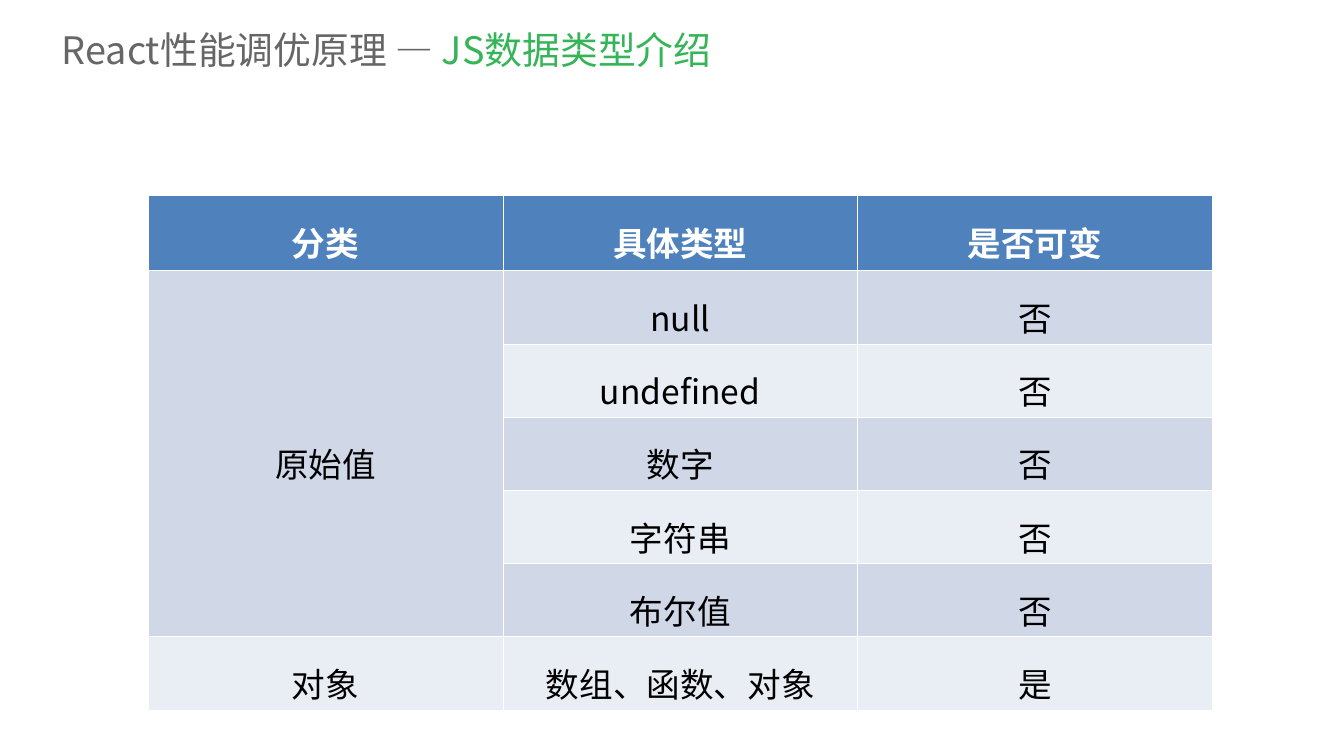
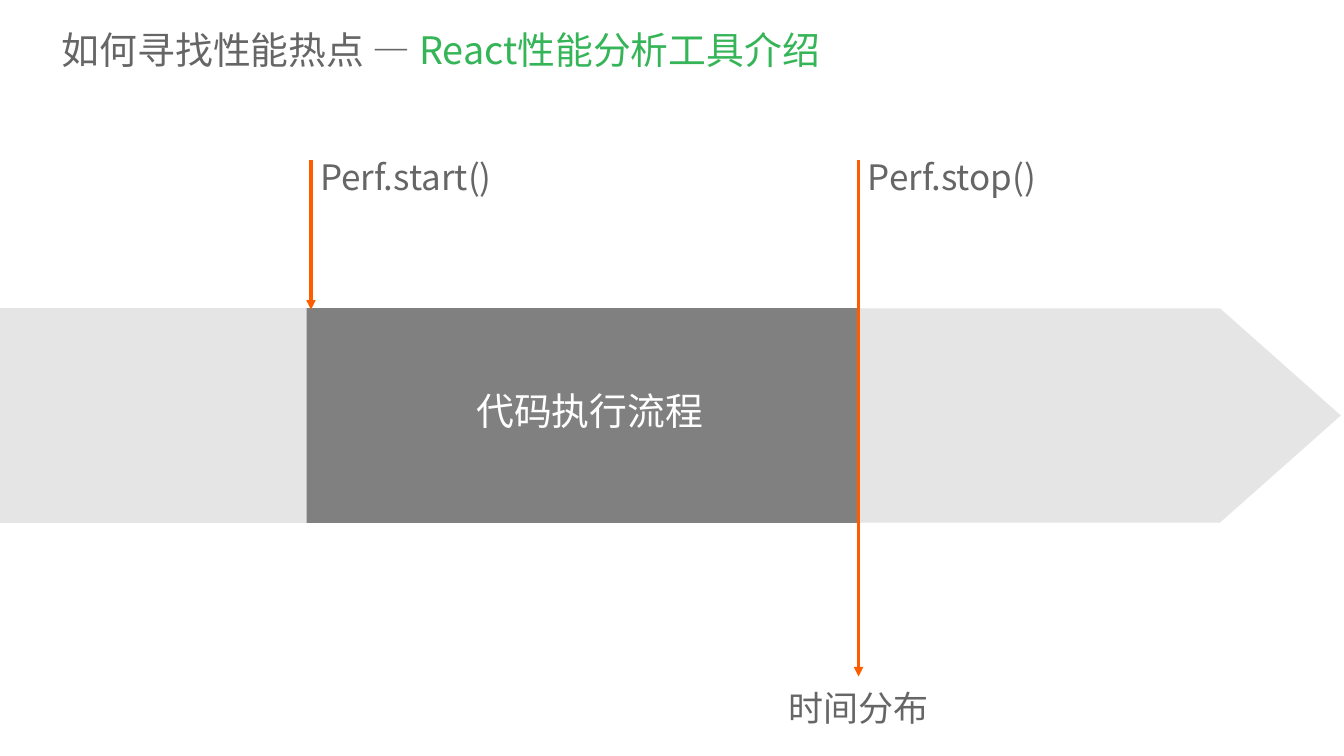
from lxml.etree import SubElement
from pptx import Presentation
from pptx.dml.color import RGBColor
from pptx.enum.shapes import MSO_CONNECTOR, MSO_SHAPE
from pptx.enum.text import MSO_ANCHOR, PP_ALIGN
from pptx.oxml.ns import qn
from pptx.util import Cm, Pt

WHITE = RGBColor(0xFF, 0xFF, 0xFF)
BLACK = RGBColor(0x00, 0x00, 0x00)
TEXT_GRAY = RGBColor(0x66, 0x66, 0x66)
GREEN = RGBColor(0x35, 0xB5, 0x58)
ORANGE = RGBColor(0xFF, 0x5C, 0x00)
FLOW_GRAY = RGBColor(0x80, 0x80, 0x80)
HEADER_BLUE = RGBColor(0x4F, 0x81, 0xBD)
BAND_DARK = RGBColor(0xD0, 0xD8, 0xE8)
BAND_LIGHT = RGBColor(0xE9, 0xED, 0xF4)

SANS = "Noto Sans CJK SC"
LATIN = "Arial"


class Deck:
    def __init__(self, width, height):
        self.presentation = Presentation()
        self.presentation.slide_width = Cm(width)
        self.presentation.slide_height = Cm(height)
        self.slide = None

    def new_slide(self, topic, subject):
        blank = self.presentation.slide_layouts[6]
        self.slide = self.presentation.slides.add_slide(blank)
        heading = self.text(2.87, 1.09, 63.88, 2.8, f"{topic} — ", 54)
        heading.vertical_anchor = MSO_ANCHOR.MIDDLE
        subject_run = heading.paragraphs[0].add_run()
        subject_run.text = subject
        self.style_run(subject_run, 54, GREEN)

    def style_run(self, run, size, color, font=SANS, bold=False):
        run.font.size = Pt(size)
        run.font.bold = bold
        run.font.color.rgb = color
        run.font.name = font
        SubElement(run.font._element, qn("a:ea"), typeface=SANS)

    def text(self, left, top, width, height, words, size,
             color=TEXT_GRAY, font=SANS, align=PP_ALIGN.LEFT):
        box = self.slide.shapes.add_textbox(Cm(left), Cm(top), Cm(width), Cm(height))
        frame = box.text_frame
        frame.word_wrap = True
        frame.text = words
        frame.paragraphs[0].alignment = align
        self.style_run(frame.paragraphs[0].runs[0], size, color, font)
        return frame

    def fill_plain(self, shape, color, opacity=100):
        shape.shadow.inherit = False
        shape.line.fill.background()
        shape.fill.solid()
        shape.fill.fore_color.rgb = color
        if opacity < 100:
            srgb = shape.fill._xPr.find(qn("a:solidFill")).find(qn("a:srgbClr"))
            SubElement(srgb, qn("a:alpha"), val=str(opacity * 1000))

    def bar(self, left, top, width, height, color, opacity=100):
        bar = self.slide.shapes.add_shape(
            MSO_SHAPE.RECTANGLE, Cm(left), Cm(top), Cm(width), Cm(height))
        self.fill_plain(bar, color, opacity)

    def arrowhead_block(self, left, top, shoulder, tip, height, color, opacity=100):
        bottom = top + height
        outline = self.slide.shapes.build_freeform(Cm(left), Cm(top), scale=1.0)
        corners = [(shoulder, top), (tip, top + height / 2),
                   (shoulder, bottom), (left, bottom)]
        outline.add_line_segments([(Cm(x), Cm(y)) for x, y in corners], close=True)
        self.fill_plain(outline.convert_to_shape(), color, opacity)

    def down_arrow(self, x, top, bottom):
        arrow = self.slide.shapes.add_connector(
            MSO_CONNECTOR.STRAIGHT, Cm(x), Cm(top), Cm(x), Cm(bottom))
        arrow.line.color.rgb = ORANGE
        arrow.line.width = Pt(4.5)
        SubElement(arrow.line._get_or_add_ln(), qn("a:tailEnd"), type="triangle")
        SubElement(arrow._element.spPr, qn("a:effectLst"))

    def cell_borders(self, cell, row_index):
        thick_side = {0: "lnB", 1: "lnT"}.get(row_index)
        properties = cell._tc.get_or_add_tcPr()
        for side in ("lnL", "lnR", "lnT", "lnB"):
            width = Pt(1.47 if side == thick_side else 0.45)
            border = SubElement(properties, qn(f"a:{side}"), w=str(width))
            solid = SubElement(border, qn("a:solidFill"))
            SubElement(solid, qn("a:srgbClr"), val=str(WHITE))

    def table(self, left, top, column_width, row_heights, rows):
        column_count = len(rows[0])
        table = self.slide.shapes.add_table(
            len(rows), column_count, Cm(left), Cm(top),
            Cm(column_width * column_count), Cm(sum(row_heights))).table
        table.horz_banding = False
        for column in table.columns:
            column.width = Cm(column_width)
        for row_index, (height, words) in enumerate(zip(row_heights, rows)):
            table.rows[row_index].height = Cm(height)
            is_header = row_index == 0
            band = BAND_DARK if row_index % 2 else BAND_LIGHT
            for column_index, word in enumerate(words):
                cell = table.cell(row_index, column_index)
                self.cell_borders(cell, row_index)
                cell.fill.solid()
                cell.fill.fore_color.rgb = HEADER_BLUE if is_header else band
                if word:
                    cell.text_frame.text = word
                    paragraph = cell.text_frame.paragraphs[0]
                    paragraph.alignment = PP_ALIGN.CENTER
                    paragraph.line_spacing = 1.4
                    self.style_run(paragraph.runs[0], 48,
                                   WHITE if is_header else BLACK, bold=is_header)
        return table


def data_types_slide(deck):
    deck.new_slide("React性能调优原理", "JS数据类型介绍")
    primitives = ["null", "undefined", "数字", "字符串", "布尔值"]
    rows = [("分类", "具体类型", "是否可变")]
    rows += [("" if index else "原始值", primitive, "否")
             for index, primitive in enumerate(primitives)]
    rows.append(("对象", "数组、函数、对象", "是"))
    row_heights = [3.78] + [3.69] * (len(rows) - 1)
    types = deck.table(7.47, 9.85, 17.87, row_heights, rows)
    primitive_group = types.cell(1, 0)
    primitive_group.merge(types.cell(len(primitives), 0))
    primitive_group.vertical_anchor = MSO_ANCHOR.MIDDLE


def profiling_slide(deck):
    deck.new_slide("如何寻找性能热点", "React性能分析工具介绍")
    start_x, stop_x = 15.67, 43.26
    label_top, label_width, label_height = 7.7, 9.37, 2.39

    deck.arrowhead_block(43.2, 15.54, 61.47, 67.56, 10.8, FLOW_GRAY)
    deck.bar(0, 15.53, 43.4, 10.82, FLOW_GRAY)
    deck.text(19.76, 19.41, 19.91, 2.54, "代码执行流程", 54,
              WHITE, LATIN, PP_ALIGN.CENTER)

    deck.down_arrow(start_x, 8.05, 15.6)
    deck.bar(0, 15.53, 15.45, 11.02, WHITE, 80)
    deck.arrowhead_block(stop_x, 15.39, 61.57, 67.69, 11.15, WHITE, 80)

    for x, call in ((start_x, "Perf.start()"), (stop_x, "Perf.stop()")):
        deck.text(x + 0.22, label_top, label_width, label_height, call, 50)
    deck.text(stop_x - label_width / 2, 34.47, label_width, label_height,
              "时间分布", 50, font=LATIN, align=PP_ALIGN.CENTER)
    deck.down_arrow(stop_x, 8.08, 34.09)


def main():
    deck = Deck(67.72, 38.1)
    data_types_slide(deck)
    profiling_slide(deck)
    deck.presentation.save("out.pptx")


if __name__ == "__main__":
    main()
